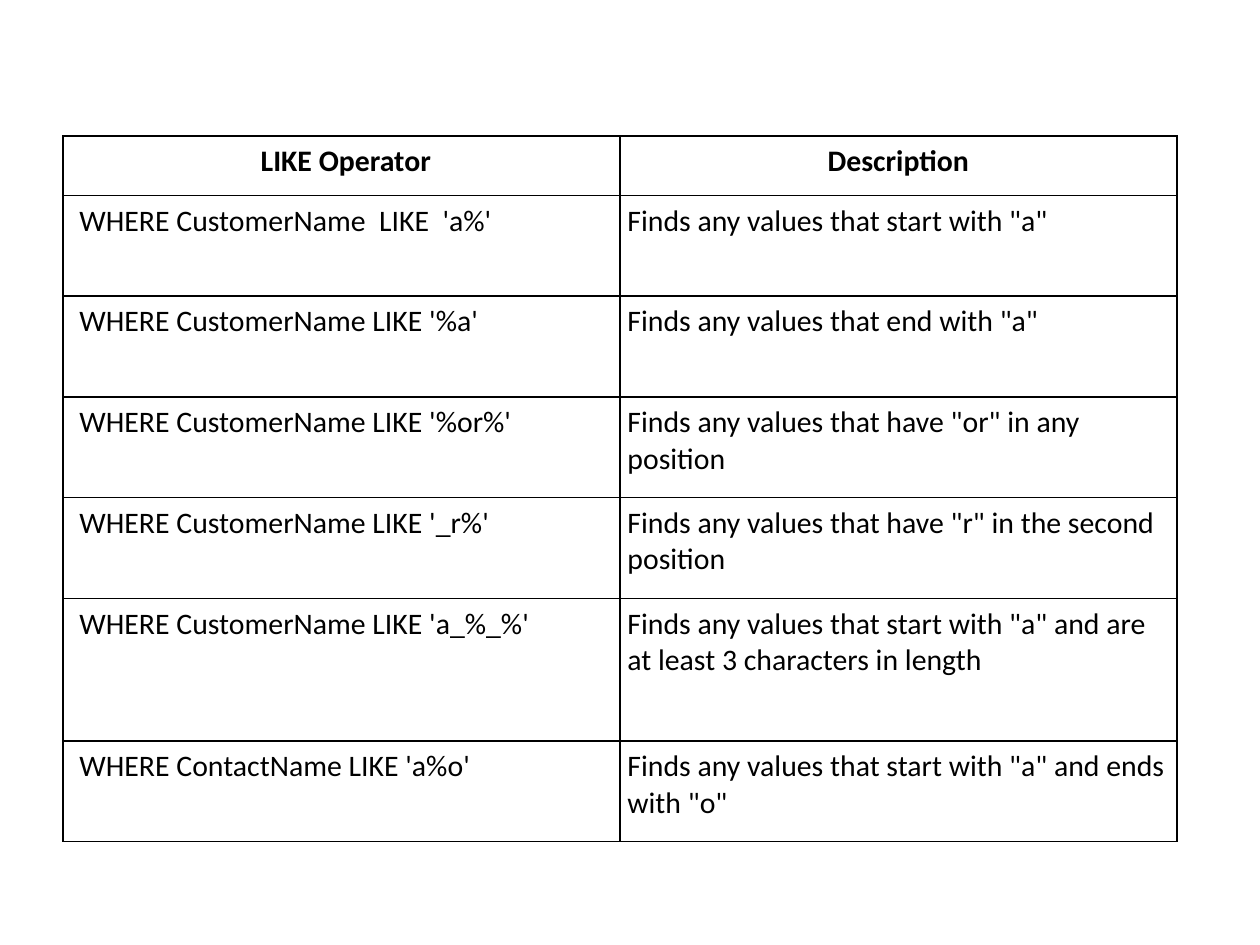
from typing import NamedTuple

from lxml.etree import SubElement as Sub
from pptx import Presentation
from pptx.dml.color import RGBColor as Rgb
from pptx.enum.text import PP_ALIGN as Align
from pptx.oxml.ns import qn
from pptx.util import Inches, Pt

COLORS = {"ink": "000000", "paper": "FFFFFF"}
FONT = "Calibri"
PAD = 0.06
LEAD = 0.13  # left inset of the first column
COL = 4.42


class Row(NamedTuple):
    rule: str
    note: str
    high: float = 0.8


HEAD = Row("LIKE Operator", "Description", 0.47)
ROWS = [
    HEAD,
    Row("WHERE CustomerName  LIKE  'a%'", 'Finds any values that start with "a"'),
    Row("WHERE CustomerName LIKE '%a'", 'Finds any values that end with "a"'),
    Row("WHERE CustomerName LIKE '%or%'",
        'Finds any values that have "or" in any position'),
    Row("WHERE CustomerName LIKE '_r%'",
        'Finds any values that have "r" in the second position'),
    Row("WHERE CustomerName LIKE 'a_%_%'",
        'Finds any values that start with "a" and are at least 3 characters in length',
        1.13),
    Row("WHERE ContactName LIKE 'a%o'",
        'Finds any values that start with "a" and ends with "o"'),
]


def write(frame, text: str, *, size: float = 17, bold: bool = False,
          align: Align = Align.LEFT, color: str = "ink") -> None:
    para = frame.paragraphs[0]
    para.alignment = align
    run = para.add_run()
    run.text = text
    font = run.font
    font.name, font.size, font.bold = FONT, Pt(size), bold
    font.color.rgb = Rgb.from_string(COLORS[color])


def edge(cell, width: float = 1, color: str = "ink") -> None:
    """Rule all four sides; borders must precede the fill in the XML."""
    props = cell._tc.get_or_add_tcPr()
    for side in ("lnL", "lnR", "lnT", "lnB"):
        line = Sub(props, qn(f"a:{side}"), w=str(Pt(width)))
        fill = Sub(line, qn("a:solidFill"))
        Sub(fill, qn("a:srgbClr"), val=COLORS[color])


def draw(cell, text: str, left: float, head: bool) -> None:
    edge(cell)
    cell.fill.solid()
    cell.fill.fore_color.rgb = Rgb.from_string(COLORS["paper"])
    cell.margin_left = Inches(left)
    cell.margin_right = cell.margin_top = cell.margin_bottom = Inches(PAD)
    write(cell.text_frame, text, bold=head,
          align=Align.CENTER if head else Align.LEFT)


def main() -> None:
    deck = Presentation()
    deck.slide_width, deck.slide_height = Inches(10), Inches(7.5)
    slide = deck.slides.add_slide(deck.slide_layouts[6])

    # Table of LIKE patterns
    high = sum(row.high for row in ROWS)
    grid = slide.shapes.add_table(len(ROWS), 2, Inches(0.5), Inches(1.08),
                                  Inches(2 * COL), Inches(high)).table
    for col in grid.columns:
        col.width = Inches(COL)
    for i, row in enumerate(ROWS):
        grid.rows[i].height = Inches(row.high)
        draw(grid.cell(i, 0), row.rule, LEAD, row is HEAD)
        draw(grid.cell(i, 1), row.note, PAD, row is HEAD)

    deck.save("out.pptx")


if __name__ == "__main__":
    main()
